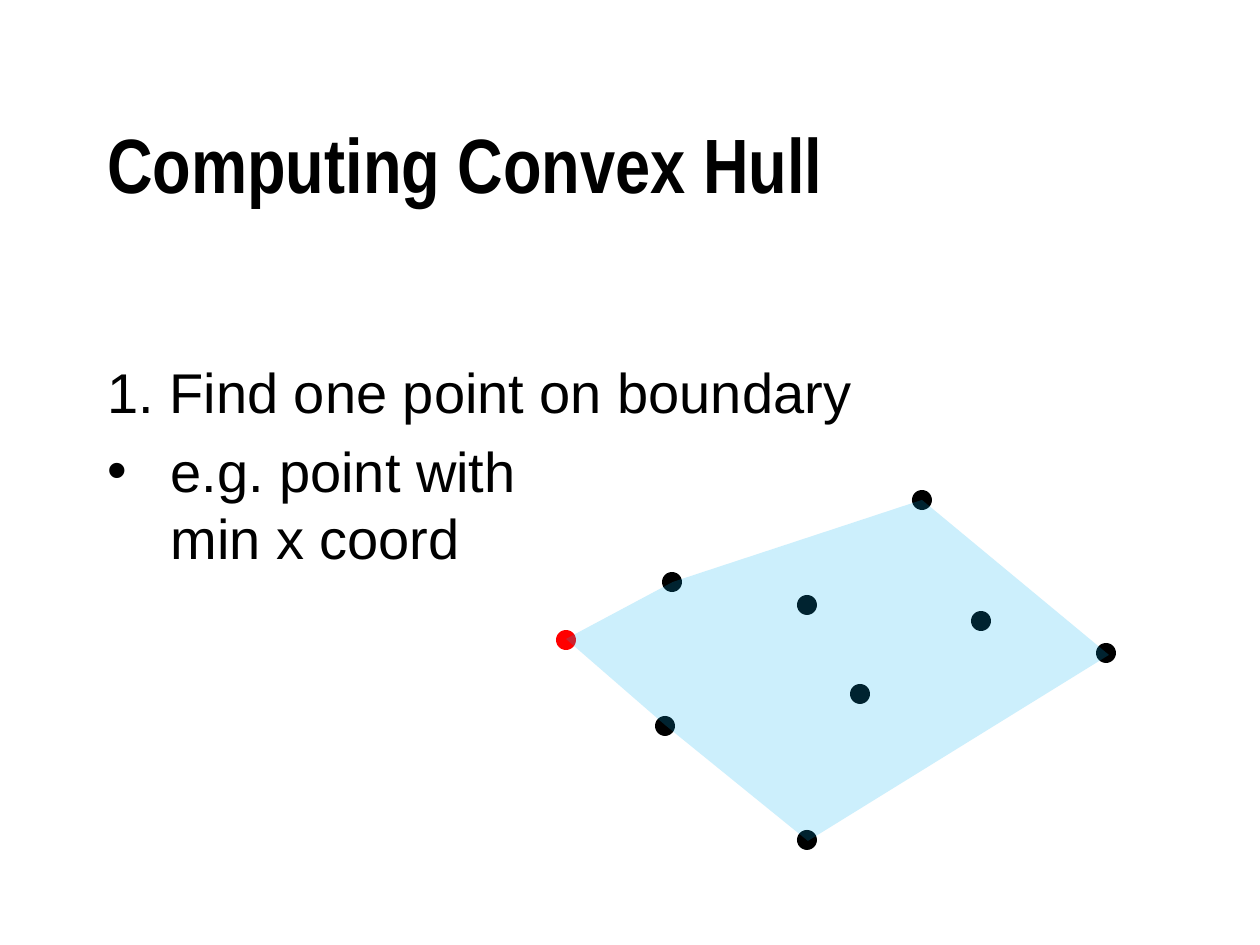
from lxml import etree
from pptx import Presentation
from pptx.dml.color import RGBColor
from pptx.enum.shapes import MSO_SHAPE
from pptx.enum.text import MSO_ANCHOR
from pptx.oxml.ns import qn
from pptx.util import Pt

PX = 7257
OVAL = MSO_SHAPE.OVAL
MIDDLE = MSO_ANCHOR.MIDDLE
DOT = 20
HULL = [(0, 139), (99, 225), (242, 341), (543, 155), (356, 0), (107, 82)]
DOTS = [(99, 226), (106, 82), (356, 0), (241, 340), (540, 153),
        (241, 105), (294, 194), (415, 121)]
START = (0, 140)


def px(*values):
    """Turn pixel lengths into EMU."""
    return [v * PX for v in values]


def color(value):
    """Return the colour of a hex string."""
    return RGBColor.from_string(value)


def add_text(s, box, lines, font, size, bold=False):
    """Add a text box with one paragraph per line and return its frame."""
    tf = s.shapes.add_textbox(*px(*box)).text_frame
    tf.word_wrap = True
    tf.text = "\n".join(lines)
    for p in tf.paragraphs:
        for r in p.runs:
            r.font.name, r.font.size, r.font.bold = font, Pt(size), bold
            r.font.color.rgb = color("000000")
    return tf


def set_indent(p, indent, bullet=None):
    """Give a paragraph a hanging indent and, if asked, a bullet."""
    pPr = p._p.get_or_add_pPr()
    pPr.set("marL", str(indent * PX))
    pPr.set("indent", str(-indent * PX))
    if bullet:
        etree.SubElement(pPr, qn("a:buFont")).set("typeface", "Arial")
        etree.SubElement(pPr, qn("a:buChar")).set("char", bullet)


def add_title(s, box):
    """Place the slide title."""
    tf = add_text(s, box, ["Computing Convex Hull"], "Arial Narrow", 44, True)
    tf.vertical_anchor = MIDDLE


def add_body(s, box):
    """Place the numbered step and its bulleted example."""
    lines = ["1. Find one point on boundary", "e.g. point with\vmin x coord"]
    step, example = add_text(s, box, lines, "Arial", 32).paragraphs
    example.space_before = Pt(7)
    set_indent(step, 47)
    set_indent(example, 63, "•")


def style(sp, fill):
    """Give a shape a plain fill without line or shadow."""
    sp.shadow.inherit = False
    sp.fill.solid()
    sp.fill.fore_color.rgb = color(fill)
    sp.line.fill.background()


def add_dot(s, x, y, fill):
    """Add a dot centred on a point."""
    box = px(x - DOT // 2, y - DOT // 2, DOT, DOT)
    style(s.shapes.add_shape(OVAL, *box), fill)


def add_hull(s, left, top):
    """Draw the points and the translucent hull over them."""
    for x, y in DOTS:
        add_dot(s, left + x, top + y, "000000")
    add_dot(s, left + START[0], top + START[1], "FF0000")
    corners = [(left + x, top + y) for x, y in HULL]
    builder = s.shapes.build_freeform(*corners[0], scale=PX)
    builder.add_line_segments(corners[1:], close=True)
    sp = builder.convert_to_shape()
    style(sp, "00B0F0")
    clr = sp._element.spPr.find(qn("a:solidFill"))[0]
    etree.SubElement(clr, qn("a:alpha")).set("val", "20000")


def main():
    """Build and save the slide."""
    prs = Presentation()
    prs.slide_width, prs.slide_height = px(1260, 945)
    s = prs.slides.add_slide(prs.slide_layouts[6])
    add_title(s, (95, 84, 1071, 158))
    add_body(s, (95, 351, 1071, 489))
    add_hull(s, 566, 500)
    prs.save("out.pptx")


if __name__ == "__main__":
    main()
